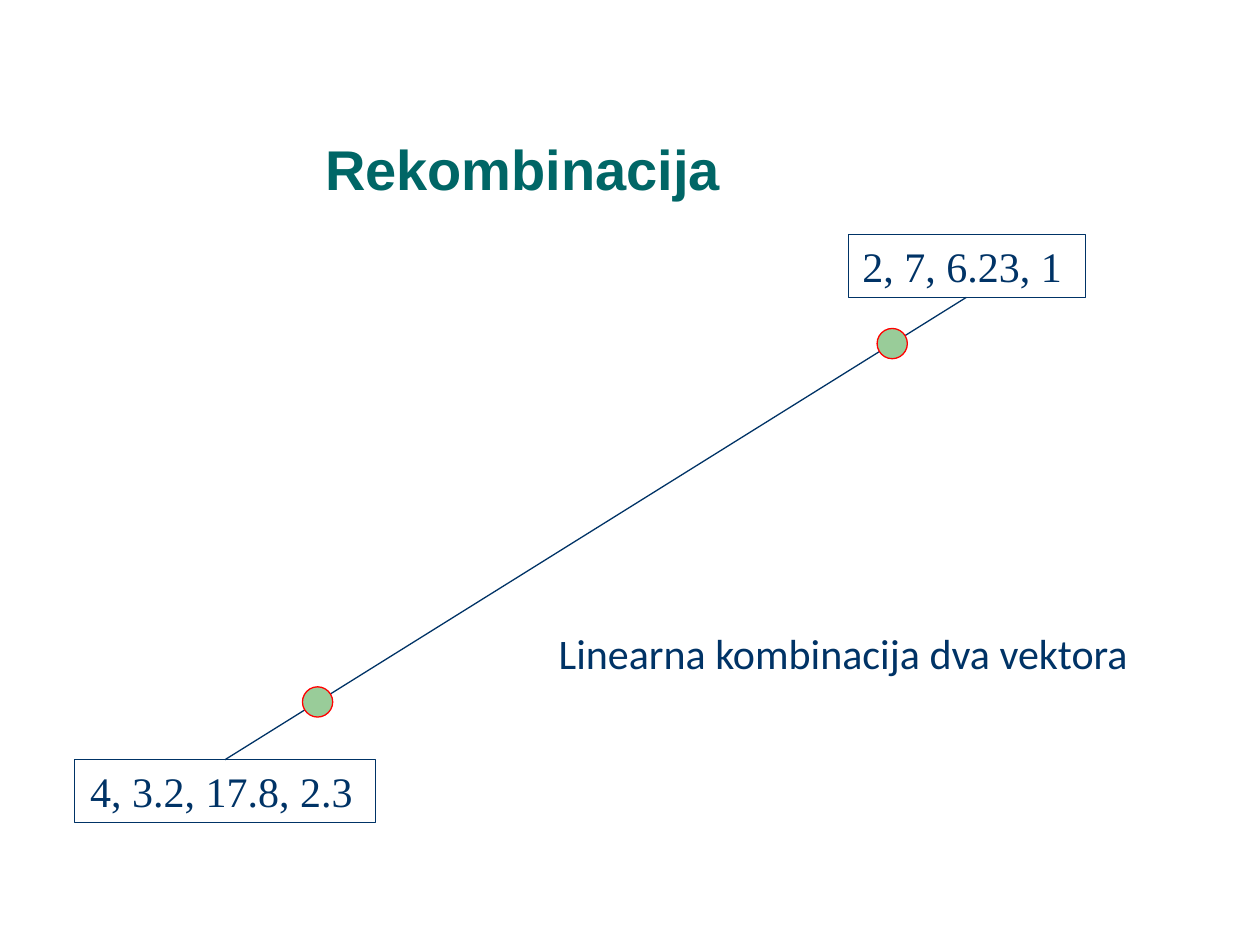
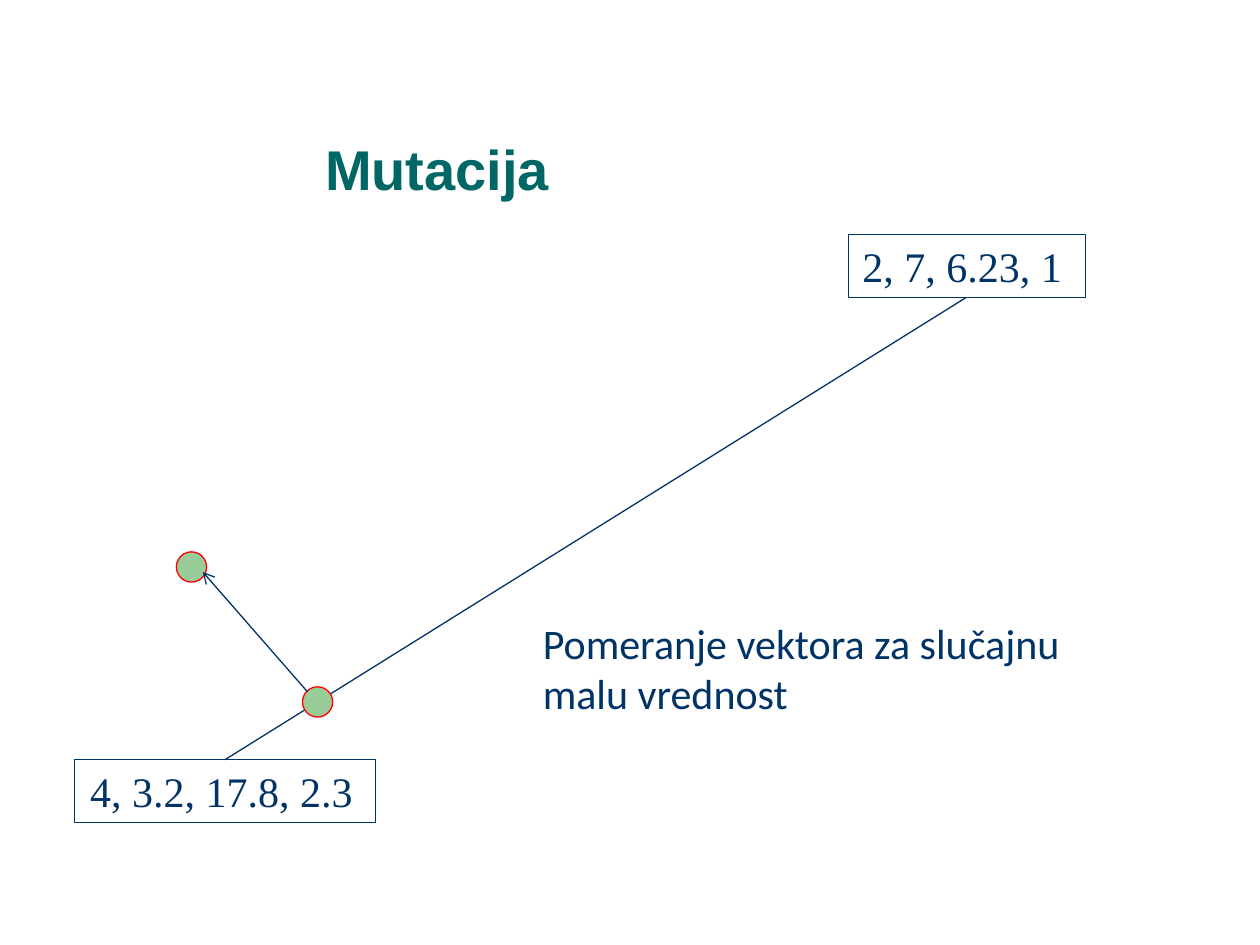
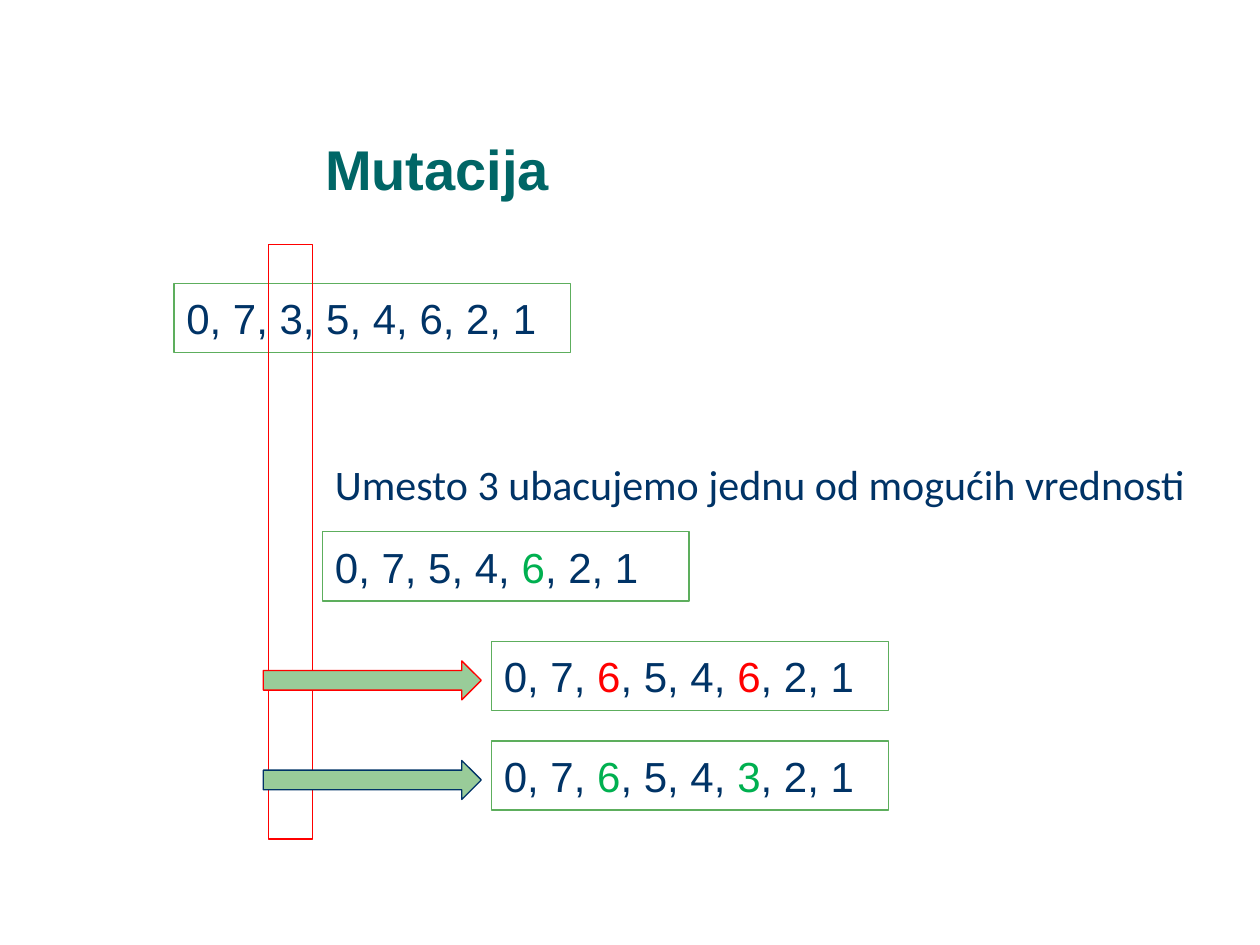
from dataclasses import dataclass

from lxml import etree
from pptx import Presentation
from pptx.dml.color import RGBColor
from pptx.enum.shapes import MSO_CONNECTOR, MSO_SHAPE
from pptx.enum.text import MSO_ANCHOR, MSO_AUTO_SIZE, PP_ALIGN
from pptx.oxml.ns import qn
from pptx.util import Inches, Pt

LEFT, RIGHT = PP_ALIGN.LEFT, PP_ALIGN.RIGHT
MIDDLE, BOTTOM = MSO_ANCHOR.MIDDLE, MSO_ANCHOR.BOTTOM
RECT, OVAL, ARROW = MSO_SHAPE.RECTANGLE, MSO_SHAPE.OVAL, MSO_SHAPE.RIGHT_ARROW
STRAIGHT = MSO_CONNECTOR.STRAIGHT
FIT = MSO_AUTO_SIZE.SHAPE_TO_FIT_TEXT


@dataclass(frozen=True)
class Theme:
    """Colours, fonts and sizes shared by the slides."""
    navy: str = "003366"
    teal: str = "006666"
    sage: str = "99CC99"
    leaf: str = "5DAE5D"
    green: str = "00B050"
    red: str = "FF0000"
    white: str = "FFFFFF"
    head: str = "Arial"
    body: str = "Calibri"
    vector: str = "Times New Roman"
    title_pt: int = 32
    text_pt: int = 24
    line_pt: float = 0.75
    hair_pt: float = 0.25


T = Theme()

# Content: boxes are (left, top, width, height) in inches
TITLE_BOX = (2.48, 1.08, 7.27, 0.58)
PARENTS = [
    ("4, 3.2, 17.8, 2.3 ", (0.59, 6.03, 2.39, 0.5)),
    ("2, 7, 6.23, 1 ", (6.73, 1.86, 1.88, 0.5)),
]
DOT = 0.24
NEAR, FAR = 0.125, 0.9  # shares of the way between the parents
MUTANT = (1.52, 4.5)

RECOMBINATION = {
    "title": "Rekombinacija",
    "note": (["Linearna kombinacija dva vektora"], (4.29, 4.93, 4.76, 0.5), RIGHT),
}
VECTOR_MUTATION = {
    "title": "Mutacija",
    "note": (["Pomeranje vektora za slučajnu", "malu vrednost"],
             (4.21, 4.85, 4.34, 0.91), LEFT),
}
SEQUENCE_MUTATION = {
    "title": "Mutacija",
    "note": (["Umesto 3 ubacujemo jednu od mogućih vrednosti"],
             (2.56, 3.59, 7.01, 0.5), LEFT),
}
SEQ_HEIGHT = 0.55
# Sequences: left, top, width, coloured pieces, outline of the arrow leading in
SEQUENCES = [
    (1.38, 2.25, 3.15, [("0, 7, 3, 5, 4, 6, 2, 1", T.navy)], None),
    (2.56, 4.22, 2.91,
     [("0, 7, 5, 4, ", T.navy), ("6", T.green), (", 2, 1", T.navy)], None),
    (3.9, 5.09, 3.15,
     [("0, 7, ", T.navy), ("6", T.red), (", 5, 4, ", T.navy), ("6", T.red),
      (", 2, 1", T.navy)], T.red),
    (3.9, 5.88, 3.15,
     [("0, 7, ", T.navy), ("6", T.green), (", 5, 4, ", T.navy), ("3", T.green),
      (", 2, 1", T.navy)], T.navy),
]
POSITION_COLUMN = (2.13, 1.94, 0.35, 4.72)
ARROW_LEFT, ARROW_WIDTH, ARROW_HEIGHT, ARROW_DROP = 2.09, 1.73, 0.31, 0.155


def inches(values):
    """Convert numbers to lengths."""
    return [Inches(v) for v in values]


def style(r, font, color, size=T.text_pt, bold=False):
    """Format one run."""
    r.font.name, r.font.size, r.font.bold = font, Pt(size), bold
    r.font.color.rgb = RGBColor.from_string(color)


def outline(obj, color, width=T.line_pt):
    """Give a shape or connector a solid line."""
    obj.line.color.rgb = RGBColor.from_string(color)
    obj.line.width = Pt(width)


def new_slide(prs, title):
    """Add a slide with the shared title."""
    s = prs.slides.add_slide(prs.slide_layouts[5])
    tf = s.shapes.title.text_frame
    tf.text = title
    p = tf.paragraphs[0]
    p.alignment, p.line_spacing = LEFT, 0.9
    style(p.runs[0], T.head, T.teal, T.title_pt, True)
    return s


def add_label(s, lines, box, font, align):
    """Add a text box that fits its unwrapped lines."""
    sp = s.shapes.add_textbox(*inches(box))
    tf = sp.text_frame
    tf.word_wrap, tf.auto_size = False, FIT
    tf.text = "\n".join(lines)
    for p in tf.paragraphs:
        p.alignment = align
        style(p.runs[0], font, T.navy)
    return sp


def add_note(s, note):
    """Add the explanation of a slide."""
    lines, box, align = note
    add_label(s, lines, box, T.body, align)


def add_figure(s, kind, box, line, fill=None):
    """Add a preset shape, hollow unless a fill is given."""
    sp = s.shapes.add_shape(kind, *inches(box))
    sp.shadow.inherit = False
    outline(sp, line)
    if fill:
        sp.fill.solid()
        sp.fill.fore_color.rgb = RGBColor.from_string(fill)
    else:
        sp.fill.background()
    return sp


def add_line(s, start, end, arrow=False):
    """Add a straight line, with an open arrowhead if asked."""
    cx = s.shapes.add_connector(STRAIGHT, *inches(start + end))
    outline(cx, T.navy)
    if arrow:
        etree.SubElement(cx.line._get_or_add_ln(), qn("a:tailEnd"), type="arrow")
    etree.SubElement(cx._element.spPr, qn("a:effectLst"))


def add_dot(s, center):
    """Add a vector's dot around its centre."""
    x, y = center
    add_figure(s, OVAL, (x - DOT / 2, y - DOT / 2, DOT, DOT), T.red, T.sage)


def add_parents(s):
    """Draw both parent vectors and their line; return a point finder."""
    for text, box in PARENTS:
        outline(add_label(s, [text], box, T.vector, RIGHT), T.navy, T.hair_pt)
    (x1, y1, w1, _), (x2, y2, w2, h2) = [box for _, box in PARENTS]
    start, end = (x1 + w1 / 2, y1), (x2 + w2 / 2, y2 + h2)
    add_line(s, start, end)
    return lambda share: tuple(a + share * (b - a) for a, b in zip(start, end))


def add_sequence(s, left, top, width, pieces, arrow):
    """Add a boxed sequence and the arrow leading to it."""
    sp = add_figure(s, RECT, (left, top, width, SEQ_HEIGHT), T.leaf, T.white)
    tf = sp.text_frame
    tf.vertical_anchor = MIDDLE
    p = tf.paragraphs[0]
    p.alignment = LEFT
    for text, color in pieces:
        r = p.add_run()
        r.text = text
        style(r, T.head, color)
    if arrow:
        box = (ARROW_LEFT, top + ARROW_DROP, ARROW_WIDTH, ARROW_HEIGHT)
        add_figure(s, ARROW, box, arrow, T.sage)


def build_recombination(prs):
    """Two points on the line between the parents."""
    s = new_slide(prs, RECOMBINATION["title"])
    point = add_parents(s)
    for share in (NEAR, FAR):
        add_dot(s, point(share))
    add_note(s, RECOMBINATION["note"])


def build_vector_mutation(prs):
    """A point on the line moved away from it."""
    s = new_slide(prs, VECTOR_MUTATION["title"])
    x, y = center = add_parents(s)(NEAR)
    for dot in (center, MUTANT):
        add_dot(s, dot)
    add_note(s, VECTOR_MUTATION["note"])
    mx, my = MUTANT
    add_line(s, (x - DOT / 3, y - DOT / 3), (mx + 0.09, my + 0.04), arrow=True)


def build_sequence_mutation(prs):
    """One position of a sequence replaced."""
    s = new_slide(prs, SEQUENCE_MUTATION["title"])
    first, *others = SEQUENCES
    add_sequence(s, *first)
    add_figure(s, RECT, POSITION_COLUMN, T.red)
    add_note(s, SEQUENCE_MUTATION["note"])
    for sequence in others:
        add_sequence(s, *sequence)


def main():
    """Build and save the presentation."""
    prs = Presentation()
    prs.slide_width, prs.slide_height = Inches(10), Inches(7.5)
    title = prs.slide_layouts[5].placeholders[0]
    title.left, title.top, title.width, title.height = inches(TITLE_BOX)
    title.text_frame.vertical_anchor = BOTTOM
    build_recombination(prs)
    build_vector_mutation(prs)
    build_sequence_mutation(prs)
    prs.save("out.pptx")


main()
